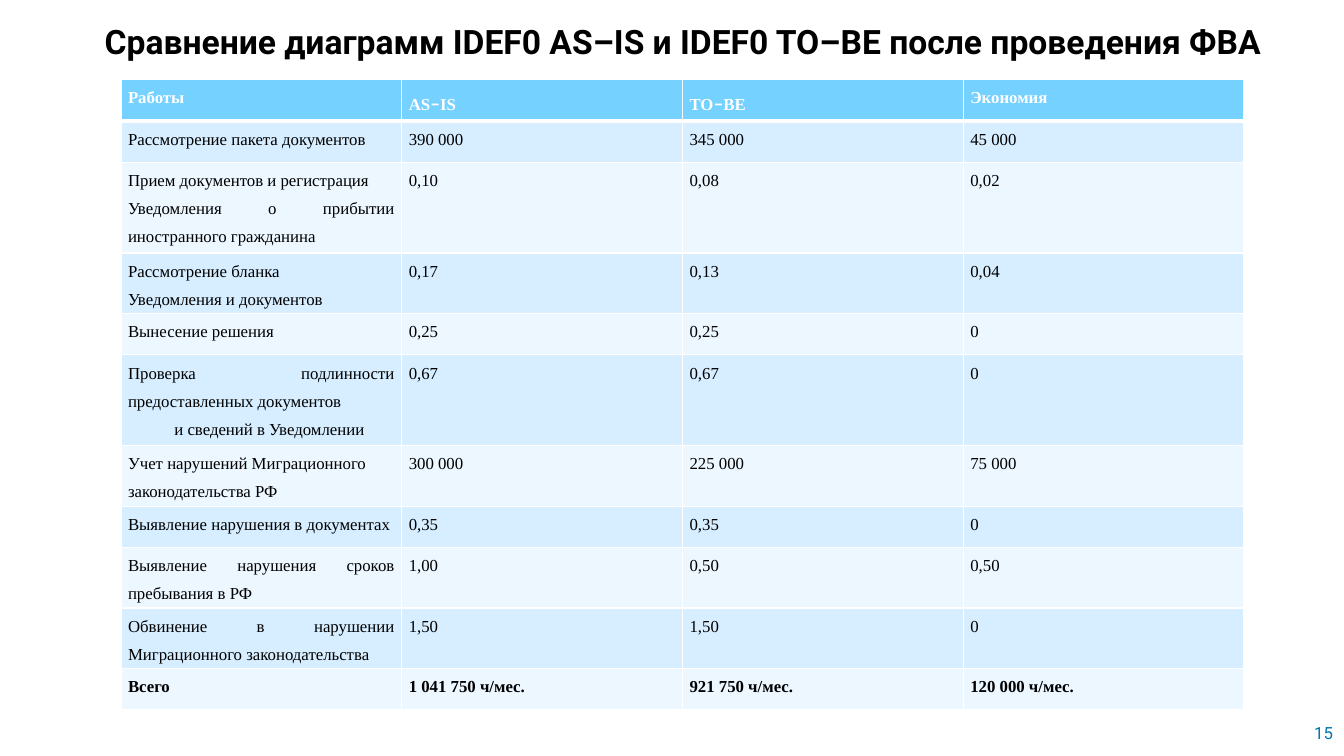
from dataclasses import dataclass

from lxml import etree
from pptx import Presentation
from pptx.dml.color import RGBColor
from pptx.enum.text import MSO_ANCHOR, PP_ALIGN
from pptx.oxml.ns import qn
from pptx.util import Inches, Pt

JUSTIFY, RIGHT = PP_ALIGN.JUSTIFY, PP_ALIGN.RIGHT
MIDDLE = MSO_ANCHOR.MIDDLE


@dataclass(frozen=True)
class Theme:
    heading_font: str = "Roboto"
    table_font: str = "Times New Roman"
    dash_font: str = "Calibri"
    title_size: float = 24
    body_size: float = 12
    dash_size: float = 14
    black: str = "000000"
    white: str = "FFFFFF"
    page_number: str = "0074AF"
    header_fill: str = "75D1FF"
    band_fills: tuple = ("D6EEFF", "ECF7FF")
    thin_line: float = 1
    header_line: float = 3


THEME = Theme()

TITLE = "Сравнение диаграмм IDEF0 AS–IS и IDEF0 TO–BE после проведения ФВА"
HEADERS = ["Работы", "AS–IS", "TO–BE", "Экономия"]
# A line break inside a job name starts a new paragraph
JOBS = [
    ["Рассмотрение пакета документов", "390 000", "345 000", "45 000"],
    ["Прием документов и регистрация\nУведомления о прибытии иностранного гражданина",
     "0,10", "0,08", "0,02"],
    ["Рассмотрение бланка\nУведомления и документов", "0,17", "0,13", "0,04"],
    ["Вынесение решения", "0,25", "0,25", "0"],
    ["Проверка подлинности предоставленных документов\nи сведений в Уведомлении",
     "0,67", "0,67", "0"],
    ["Учет нарушений Миграционного\nзаконодательства РФ", "300 000", "225 000", "75 000"],
    ["Выявление нарушения в документах", "0,35", "0,35", "0"],
    ["Выявление нарушения сроков пребывания в РФ", "1,00", "0,50", "0,50"],
    ["Обвинение в нарушении Миграционного законодательства", "1,50", "1,50", "0"],
]
TOTALS = ["Всего", "1 041 750 ч/мес.", "921 750 ч/мес.", "120 000 ч/мес."]
INDENTED_LINE = "и сведений в Уведомлении"


def set_font(font, name, size, color, bold=False):
    font.name, font.size, font.bold = name, Pt(size), bold
    font.color.rgb = RGBColor.from_string(color)


def add_label(page, box, text, size, color, bold=False, wrap=True):
    label = page.shapes.add_textbox(*(Inches(length) for length in box))
    label.text_frame.word_wrap = wrap
    para = label.text_frame.paragraphs[0]
    para.text = text
    set_font(para.font, THEME.heading_font, size, color, bold)
    return label.text_frame, para


def add_title(page, box):
    _, para = add_label(page, box, TITLE, THEME.title_size, THEME.black, bold=True)
    para.line_spacing = 0.9


def add_page_number(page, box):
    frame, para = add_label(page, box, "15", THEME.body_size, THEME.page_number, wrap=False)
    frame.vertical_anchor = MIDDLE
    para.alignment = RIGHT


def set_borders(cell, top, bottom):
    properties = cell._tc.get_or_add_tcPr()
    widths = {"lnL": THEME.thin_line, "lnR": THEME.thin_line, "lnT": top, "lnB": bottom}
    for side, width in widths.items():
        line = etree.SubElement(properties, qn(f"a:{side}"), w=str(Pt(width)))
        fill = etree.SubElement(line, qn("a:solidFill"))
        etree.SubElement(fill, qn("a:srgbClr"), val=THEME.white)


def write_cell(cell, text, color, bold):
    cell.margin_left = cell.margin_right = Inches(0.07)
    cell.margin_top = cell.margin_bottom = 0
    frame = cell.text_frame
    for index, line in enumerate(text.split("\n")):
        para = frame.add_paragraph() if index else frame.paragraphs[0]
        if line == INDENTED_LINE:
            para._p.get_or_add_pPr().set("indent", str(Inches(0.46)))
        para.alignment = JUSTIFY
        para.line_spacing = 1.5
        set_font(para.font, THEME.table_font, THEME.body_size, color, bold)
        # The dash in a header has its own font and size
        for part in line.partition("–"):
            if part:
                span = para.add_run()
                span.text = part
                if part == "–":
                    span.font.name = THEME.dash_font
                    span.font.size = Pt(THEME.dash_size)


def add_comparison_table(page, box):
    left, top, width, row_height = box
    rows = [HEADERS, *JOBS, TOTALS]
    table = page.shapes.add_table(
        len(rows), len(HEADERS), Inches(left), Inches(top),
        Inches(width), Inches(row_height * len(rows))).table
    for row_index, row in enumerate(rows):
        is_header = row is HEADERS
        bold = is_header or row is TOTALS
        color = THEME.white if is_header else THEME.black
        fill = THEME.header_fill if is_header else THEME.band_fills[(row_index - 1) % 2]
        top_line = THEME.header_line if row_index == 1 else THEME.thin_line
        bottom_line = THEME.header_line if is_header else THEME.thin_line
        for column_index, text in enumerate(row):
            cell = table.cell(row_index, column_index)
            write_cell(cell, text, color, bold)
            set_borders(cell, top_line, bottom_line)
            cell.fill.solid()
            cell.fill.fore_color.rgb = RGBColor.from_string(fill)


def main():
    deck = Presentation()
    deck.slide_width, deck.slide_height = Inches(13.33), Inches(7.5)
    page = deck.slides.add_slide(deck.slide_layouts[6])
    add_page_number(page, (12.85, 7.07, 0.47, 0.4))
    add_title(page, (0.94, 0.2, 12.39, 0.59))
    add_comparison_table(page, (1.2, 0.79, 11.14, 0.41))
    deck.save("out.pptx")


if __name__ == "__main__":
    main()
